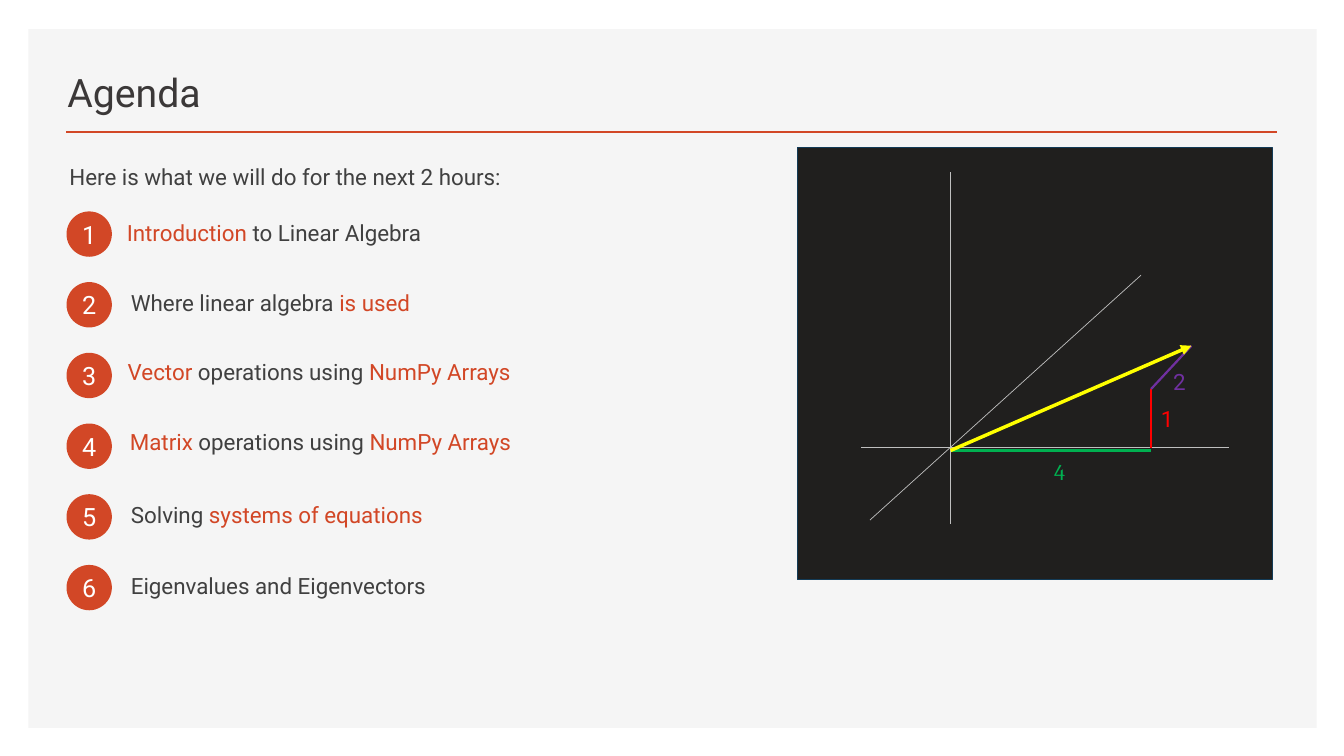
from lxml import etree
from pptx import Presentation
from pptx.dml.color import RGBColor
from pptx.enum.shapes import MSO_CONNECTOR, MSO_SHAPE
from pptx.enum.text import MSO_ANCHOR, MSO_AUTO_SIZE, PP_ALIGN
from pptx.oxml.ns import qn
from pptx.util import Pt

RECT, OVAL = MSO_SHAPE.RECTANGLE, MSO_SHAPE.OVAL
STRAIGHT = MSO_CONNECTOR.STRAIGHT
LEFT, CENTER = PP_ALIGN.LEFT, PP_ALIGN.CENTER
MIDDLE, BOTTOM = MSO_ANCHOR.MIDDLE, MSO_ANCHOR.BOTTOM
FIXED = MSO_AUTO_SIZE.NONE

ACCENT, INK, AXIS = "D24726", "404040", "BFBFBF"
GREEN, RED, PURPLE, YELLOW = "00B050", "FF0000", "7030A0", "FFFF00"

TOPICS = [
    (83.5, 154, "*Introduction* to Linear Algebra"),
    (86.4, 204.5, "Where linear algebra *is used*"),
    (84.2, 253.4, "*Vector *operations using *NumPy Arrays*"),
    (85.7, 303.1, "*Matrix *operations using *NumPy Arrays*"),
    (86.4, 355.7, "Solving *systems of equations*"),
    (86.4, 406.1, "Eigenvalues and Eigenvectors"),
]
AXES = [
    (679, 123.1, 679, 374.4),
    (877.7, 319.7, 614.9, 319.7),
    (815, 196.6, 621.4, 371.5),
]
PARTS = [
    (822.2, 321.8, 679, 321.8, GREEN),
    (822.2, 319.7, 822.2, 277.9, RED),
    (822.2, 277.9, 851, 247, PURPLE),
]
LABELS = [
    ("4", 745.9, 324, GREEN, "Cambria"),
    ("1", 822.2, 285.8, RED, "Roboto"),
    ("2", 830.9, 259.2, PURPLE, "Roboto"),
]


def color(code):
    return RGBColor.from_string(code)


class Board:
    font = "Roboto"

    def __init__(self, deck):
        self.slide = deck.slides.add_slide(deck.slide_layouts[5])
        self.shapes = self.slide.shapes

    def style(self, run, size, code, font=None):
        run.font.name = font or self.font
        run.font.size = Pt(size)
        run.font.color.rgb = color(code)

    def shape(self, kind, x, y, w, h, fill, line=None):
        item = self.shapes.add_shape(kind, Pt(x), Pt(y), Pt(w), Pt(h))
        item.shadow.inherit = False
        item.fill.solid()
        item.fill.fore_color.rgb = color(fill)
        if line:
            item.line.color.rgb = color(line)
            item.line.width = Pt(0.5)
        else:
            item.line.fill.background()
        return item

    def panel(self, x, y, w, h, fill):
        item = self.shape(RECT, x, y, w, h, fill)
        tree = self.shapes.title.element.getparent()
        tree.insert(2, item.element)

    def title(self, text, x, y, w, h):
        item = self.shapes.title
        item.left, item.top, item.width, item.height = Pt(x), Pt(y), Pt(w), Pt(h)
        frame = item.text_frame
        frame.text = text
        frame.auto_size = FIXED
        frame.vertical_anchor = BOTTOM
        para = frame.paragraphs[0]
        para.alignment = LEFT
        self.style(para.runs[0], 28, "3B3838")

    def badge(self, text, x, y, size):
        frame = self.shape(OVAL, x, y, size, size, ACCENT).text_frame
        frame.margin_left = frame.margin_right = 0
        frame.margin_top = frame.margin_bottom = 0
        frame.vertical_anchor = MIDDLE
        frame.text = text
        para = frame.paragraphs[0]
        para.alignment = CENTER
        self.style(para.runs[0], 18, "FFFFFF")

    def text(self, text, x, y, w, h, code=INK, font=None, pitch=None, after=20):
        box = self.shapes.add_textbox(Pt(x), Pt(y), Pt(w), Pt(h))
        frame = box.text_frame
        frame.word_wrap = True
        para = frame.paragraphs[0]
        para.space_after = Pt(after)
        if pitch:
            para.line_spacing = Pt(pitch)
        for index, part in enumerate(text.split("*")):
            if part:
                run = para.add_run()
                run.text = part
                self.style(run, 16, ACCENT if index % 2 else code, font)

    def line(self, x1, y1, x2, y2, code, width, arrow=False):
        item = self.shapes.add_connector(STRAIGHT, Pt(x1), Pt(y1), Pt(x2), Pt(y2))
        item.line.color.rgb = color(code)
        item.line.width = Pt(width)
        if arrow:
            stroke = item.line._get_or_add_ln()
            etree.SubElement(stroke, qn("a:tailEnd"), type="triangle")
        etree.SubElement(item.element.spPr, qn("a:effectLst"))


def main():
    deck = Presentation()
    deck.slide_width, deck.slide_height = Pt(960), Pt(540)
    board = Board(deck)

    board.panel(20.2, 20.9, 920.2, 499, "F5F5F5")
    board.title("Agenda", 41, 35.3, 541.4, 50.4)
    board.line(47.5, 94.3, 912.2, 94.3, ACCENT, 2)
    board.text("Here is what we will do for the next 2 hours:",
               42.5, 114.5, 402.5, 37.4, pitch=18)

    for index, (x, y, topic) in enumerate(TOPICS):
        board.badge(str(index + 1), 47.5, 151 + 50.5 * index, 32.4)
        board.text(topic, x, y, 355, 27.4, pitch=18, after=6)

    board.shape(RECT, 569.5, 105.1, 339.1, 308.9, "201F1E", "133B57")
    for ends in AXES:
        board.line(*ends, AXIS, 0.5)
    for part in PARTS:
        board.line(*part, 1.6)
    board.line(679, 321.8, 851, 247, YELLOW, 2.5, arrow=True)
    for text, x, y, code, font in LABELS:
        board.text(text, x, y, 36, 27.4, code, font)

    deck.save("out.pptx")


if __name__ == "__main__":
    main()
